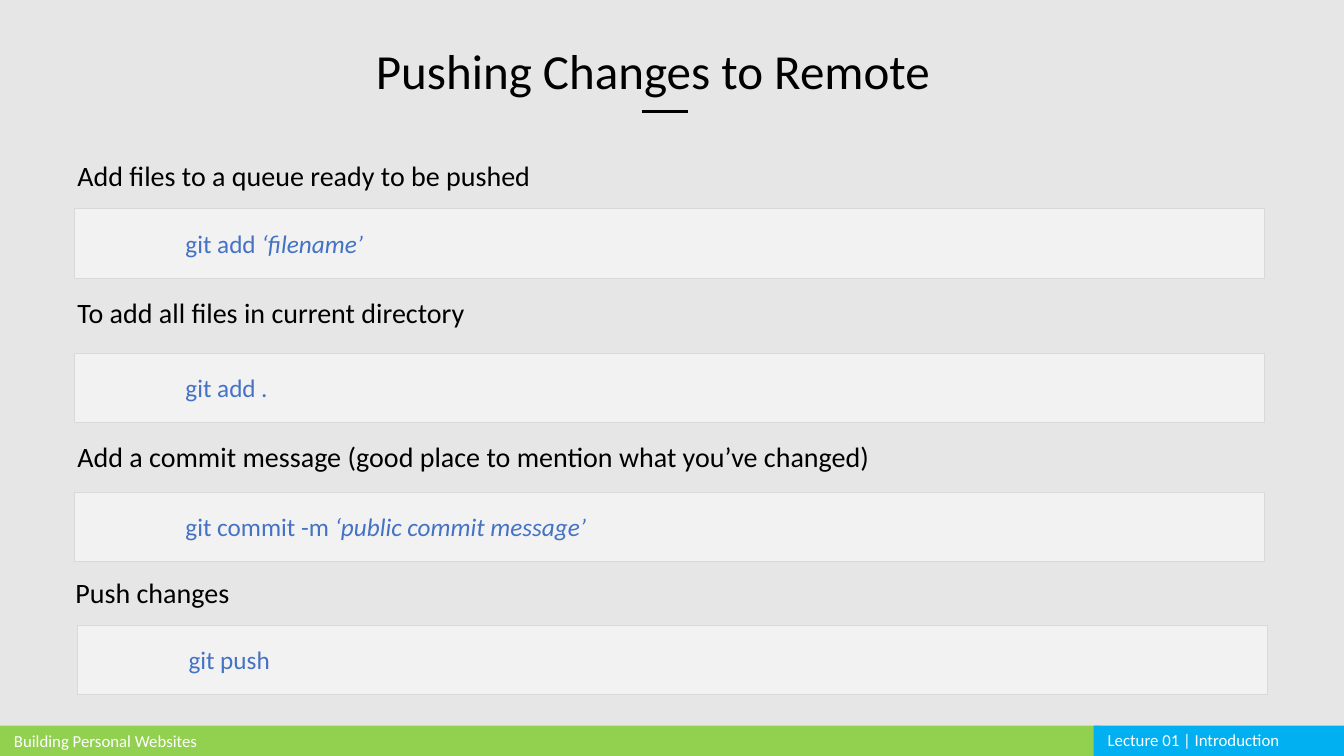
from lxml.etree import SubElement
from pptx import Presentation
from pptx.dml.color import RGBColor as Rgb
from pptx.enum.shapes import MSO_CONNECTOR as Conn, MSO_SHAPE as Shape
from pptx.enum.text import MSO_ANCHOR as Anchor, MSO_AUTO_SIZE as Auto, PP_ALIGN as Align
from pptx.oxml.ns import qn
from pptx.util import Inches, Pt

WIDE, HIGH = Inches(13.33), Inches(7.5)
COLS, ROWS = 40, 30


def paint(target, tone):
    """Set a fill, line or font colour from a hex string."""
    target.rgb = Rgb.from_string(tone)


class Page:
    """A slide on a grid of COLS by ROWS cells, with its text styles."""

    styles = {
        "title": ({"size": Pt(35)}, "000000"),
        "step": ({"size": Pt(20)}, "000000"),
        "code": ({"size": Pt(18)}, "4472C4"),
        "foot": ({"size": Pt(12)}, "FFFFFF"),
    }

    def __init__(self, deck, back):
        self.slide = deck.slides.add_slide(deck.slide_layouts[6])
        self.items = self.slide.shapes
        fill = self.slide.background.fill
        fill.solid()
        paint(fill.fore_color, back)

    def place(self, x, y, w, h):
        """Turn columns and rows into lengths."""
        return (round(x * WIDE / COLS), round(y * HIGH / ROWS),
                round(w * WIDE / COLS), round(h * HIGH / ROWS))

    def add_words(self, para, text, style, italic=False):
        run = para.add_run()
        run.text = text
        values, tone = self.styles[style]
        for name, value in {"name": "Calibri", "italic": italic, **values}.items():
            setattr(run.font, name, value)
        paint(run.font.color, tone)

    def text(self, words, style, cell, align=Align.LEFT, wrap=True):
        frame = self.items.add_textbox(*self.place(*cell)).text_frame
        for name, value in {"word_wrap": wrap, "auto_size": Auto.SHAPE_TO_FIT_TEXT}.items():
            setattr(frame, name, value)
        para = frame.paragraphs[0]
        para.alignment = align
        self.add_words(para, words, style)

    def rect(self, cell, tone, edge=None):
        box = self.items.add_shape(Shape.RECTANGLE, *self.place(*cell))
        box.shadow.inherit = False
        box.fill.solid()
        paint(box.fill.fore_color, tone)
        if edge:
            paint(box.line.color, edge)
            box.line.width = Pt(0.25)
        else:
            box.line.fill.background()
        return box

    def code(self, cell, plain, slanted):
        frame = self.rect(cell, "F2F2F2", "D9D9D9").text_frame
        layout = {"margin_left": Inches(1.1), "vertical_anchor": Anchor.MIDDLE,
                  "word_wrap": True}
        for name, value in layout.items():
            setattr(frame, name, value)
        para = frame.paragraphs[0]
        para.alignment = Align.LEFT
        self.add_words(para, plain, "code")
        if slanted:
            self.add_words(para, slanted, "code", italic=True)

    def rule(self, x, y, w):
        left, top, width, _ = self.place(x, y, w, 0)
        line = self.items.add_connector(Conn.STRAIGHT, left, top, left + width, top)
        paint(line.line.color, "000000")
        line.line.width = Pt(2.25)
        SubElement(line._element.spPr, qn("a:effectLst"))


# Step text, its column, row and width; then code column, row and two parts
STEPS = [
    ("Add files to a queue ready to be pushed", 2.01, 6.08, 14.22,
     2.22, 8.28, "git add ", "‘filename’"),
    ("To add all files in current directory", 2.01, 11.52, 12.24,
     2.22, 14, "git add ", "."),
    ("Add a commit message (good place to mention what you’ve changed)", 2.01, 17.24, 24.39,
     2.22, 19.52, "git commit -m ", "‘public commit message’"),
    ("Push changes", 1.95, 22.64, 5.22,
     2.31, 24.8, "git push", ""),
]

# Band column, width and colour; then label, its row and width
FOOT = [
    (0, 32.73, "92D050", "Building Personal Websites", 28.8, 8.79),
    (32.55, 7.45, "00B0F0", "Lecture 01 | Introduction", 28.76, 7.33),
]


def main():
    deck = Presentation()
    deck.slide_width, deck.slide_height = WIDE, HIGH
    page = Page(deck, "E7E6E6")

    page.text("Pushing Changes to Remote", "title", (10.08, 1.4, 18.72, 2.76), Align.CENTER)
    page.rule(19.11, 4.44, 1.38)

    for words, x, y, w, left, top, plain, slanted in STEPS:
        page.text(words, "step", (x, y, w, 1.76), wrap=False)
        page.code((left, top, 35.4, 2.76), plain, slanted)

    for x, w, tone, words, y, span in FOOT:
        page.rect((x, 28.8, w, 1.2), tone)
        page.text(words, "foot", (x + 0.12, y, span, 1.2))

    deck.save("out.pptx")


if __name__ == "__main__":
    main()
